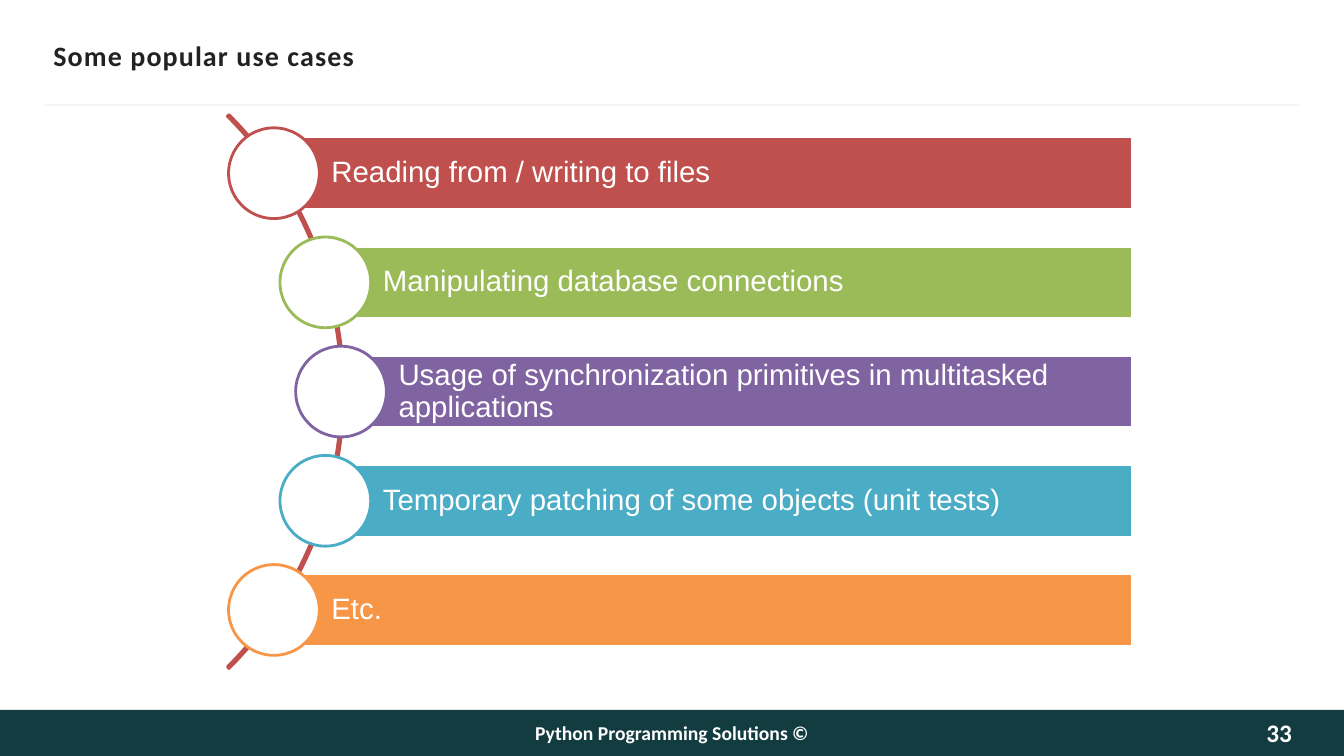
from math import sqrt

from lxml import etree
from pptx import Presentation
from pptx.dml.color import RGBColor
from pptx.enum.shapes import MSO_CONNECTOR, MSO_SHAPE
from pptx.enum.text import MSO_ANCHOR, PP_ALIGN
from pptx.oxml.ns import qn
from pptx.util import Inches, Pt

RECT, OVAL, ARC = MSO_SHAPE.RECTANGLE, MSO_SHAPE.OVAL, MSO_SHAPE.BLOCK_ARC
STRAIGHT = MSO_CONNECTOR.STRAIGHT
MIDDLE = MSO_ANCHOR.MIDDLE
LEFT, CENTER, RIGHT = PP_ALIGN.LEFT, PP_ALIGN.CENTER, PP_ALIGN.RIGHT

WHITE = RGBColor(0xFF, 0xFF, 0xFF)
INK = RGBColor(0x22, 0x22, 0x22)
TEAL = RGBColor(0x13, 0x3C, 0x41)
PALE = RGBColor(0xF5, 0xF5, 0xF5)
RED = RGBColor(0xC0, 0x50, 0x4D)
GREEN = RGBColor(0x9B, 0xBB, 0x59)
PURPLE = RGBColor(0x80, 0x64, 0xA2)
BLUE = RGBColor(0x4B, 0xAC, 0xC6)
ORANGE = RGBColor(0xF7, 0x96, 0x46)

COLS, ROWS = 160, 90
CELL = Inches(7.5) / ROWS
FOOTER_TOP, FOOTER_H = 84.5, 5.5
ARC_X, ARC_Y, ARC_R = -5.7, 46.62, 46.62
DOT_ORBIT, DOT_SIZE = 46.3, 10.8
BAR_STEP, BAR_H, BAR_RIGHT = 13, 8.64, 134.76

USE_CASES = [
    ("Reading from / writing to files", RED),
    ("Manipulating database connections", GREEN),
    ("Usage of synchronization primitives in multitasked applications", PURPLE),
    ("Temporary patching of some objects (unit tests)", BLUE),
    ("Etc.", ORANGE),
]


def grid(*cells):
    return [round(c * CELL) for c in cells]


def add_text(s, text, font, size, color, bold=False, align=LEFT, margins=(0, 0, 0, 0)):
    tf = s.text_frame
    tf.word_wrap = True
    tf.vertical_anchor = MIDDLE
    tf.margin_left, tf.margin_top, tf.margin_right, tf.margin_bottom = grid(*margins)
    p = tf.paragraphs[0]
    p.text = text
    p.alignment = align
    p.font.name, p.font.size, p.font.bold = font, Pt(size), bold
    p.font.color.rgb = color
    return p


def add_shape(slide, kind, box, fill=None, line=None):
    s = slide.shapes.add_shape(kind, *grid(*box))
    s.shadow.inherit = False
    if fill is None:
        s.fill.background()
    else:
        s.fill.solid()
        s.fill.fore_color.rgb = fill
    if line is None:
        s.line.fill.background()
    else:
        s.line.color.rgb = line
        s.line.width = Pt(2)
    return s


def add_title(slide, text):
    s = slide.shapes.title
    s.left, s.top, s.width, s.height = grid(6.35, 4, 147.3, 5.25)
    p = add_text(s, text, "Calibri", 20, INK, bold=True)
    p.runs[0].font._element.set("spc", "80")


def add_rule(slide):
    c = slide.shapes.add_connector(STRAIGHT, *grid(5.2, 12.5, 154.8, 12.5))
    c.line.color.rgb = PALE
    c.line.width = Pt(1.5)
    etree.SubElement(c._element.spPr, qn("a:effectLst"))


def add_footer(slide, text, number):
    add_shape(slide, RECT, (0, FOOTER_TOP, COLS, FOOTER_H), TEAL)
    for label, left, width, size, align in ((text, 42, 76, 14, CENTER),
                                            (number, 145.8, 8, 18, RIGHT)):
        s = slide.shapes.add_textbox(*grid(left, FOOTER_TOP, width, FOOTER_H))
        add_text(s, label, "Calibri", size, WHITE, bold=True, align=align)


def add_arc(slide):
    s = add_shape(slide, ARC, (ARC_X - ARC_R, ARC_Y - ARC_R, 2 * ARC_R, 2 * ARC_R), line=RED)
    for i, value in enumerate((189, 27, 0.003)):
        s.adjustments[i] = value


def add_use_case(slide, offset, text, color):
    x = ARC_X + sqrt(DOT_ORBIT ** 2 - offset ** 2)
    y = ARC_Y + offset
    bar = add_shape(slide, RECT, (x, y - BAR_H / 2, BAR_RIGHT - x, BAR_H), color, WHITE)
    p = add_text(bar, text, "Arial", 21, WHITE, margins=(6.84, 0.7, 0.7, 0.7))
    p.line_spacing = 0.9
    half = DOT_SIZE / 2
    add_shape(slide, OVAL, (x - half, y - half, DOT_SIZE, DOT_SIZE), WHITE, color)


def main():
    prs = Presentation()
    prs.slide_width, prs.slide_height = grid(COLS, ROWS)
    slide = prs.slides.add_slide(prs.slide_layouts[5])
    add_title(slide, "Some popular use cases")
    add_rule(slide)
    add_footer(slide, "Python Programming Solutions ©", "33")
    add_arc(slide)
    middle = (len(USE_CASES) - 1) / 2
    for i, (text, color) in enumerate(USE_CASES):
        add_use_case(slide, (i - middle) * BAR_STEP, text, color)
    prs.save("out.pptx")


main()
